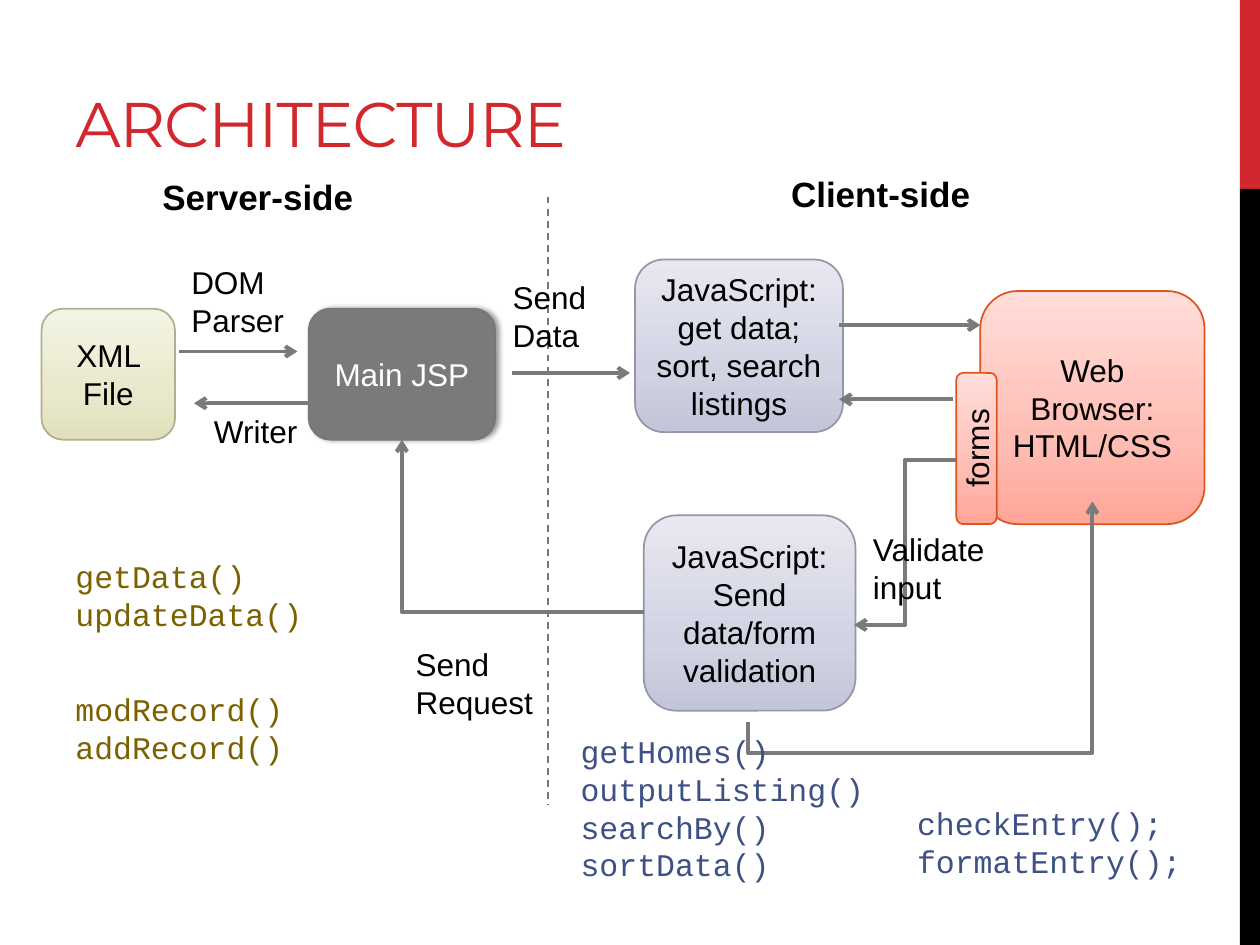
from lxml import etree
from copy import deepcopy
from pptx import Presentation
from pptx.dml.color import RGBColor
from pptx.enum.dml import MSO_LINE
from pptx.enum.shapes import MSO_CONNECTOR, MSO_SHAPE
from pptx.enum.text import MSO_ANCHOR, MSO_AUTO_SIZE, PP_ALIGN
from pptx.oxml.ns import qn
from pptx.util import Inches, Pt

RECT, ROUNDED = MSO_SHAPE.RECTANGLE, MSO_SHAPE.ROUNDED_RECTANGLE
STRAIGHT, ELBOW = MSO_CONNECTOR.STRAIGHT, MSO_CONNECTOR.ELBOW
DASH = MSO_LINE.DASH
TOP, MIDDLE, BOTTOM = MSO_ANCHOR.TOP, MSO_ANCHOR.MIDDLE, MSO_ANCHOR.BOTTOM
LEFT, CENTER = PP_ALIGN.LEFT, PP_ALIGN.CENTER
NO_AUTOFIT = MSO_AUTO_SIZE.NONE

COLUMNS, ROWS = 100, 75
CELL = Inches(0.1)
RED, BLACK, WHITE = "D1282E", "000000", "FFFFFF"
GRAY, DARK_GRAY = "7A7A7A", "777777"
BROWSER = (("FFA698", "FFBCB3", "FFDED9"), "DC551F")
SCRIPT = (("C3C5D9", "D1D3E3", "E8E8F1"), "9496A9")
XML_FILE = (("E1E0BC", "E9E8CB", "F4F4E5"), "B1B08E")
STOPS = (0, 0.35, 1)

LABEL = {"name": "Arial", "size": Pt(18)}
HEADING = {"name": "Arial", "size": Pt(20), "bold": True}
CODE = {"name": "Courier New", "size": Pt(18)}
TITLE = {"name": "Montserrat", "size": Pt(36), "bold": False}
HEADING_GAPS = {"space_before": Pt(4), "space_after": Pt(6)}


def grid(*cells):
    return [round(cell * CELL) for cell in cells]


def color(value):
    return RGBColor.from_string(value)


def apply(target, values):
    for key, value in values.items():
        setattr(target, key, value)


def write(frame, text, font, ink, align=LEFT, anchor=TOP, gaps=None):
    apply(frame, {"word_wrap": True, "auto_size": NO_AUTOFIT, "vertical_anchor": anchor})
    frame.text = text
    for paragraph in frame.paragraphs:
        apply(paragraph, {"alignment": align, **(gaps or {})})
        for run in paragraph.runs:
            apply(run.font, font)
            run.font.color.rgb = color(ink)


def add_title(slide, text):
    title = slide.shapes.title
    apply(title, dict(zip(("left", "top", "width", "height"), grid(5, -1.8, 63.3, 15))))
    write(title.text_frame, text, TITLE, RED, anchor=BOTTOM)
    for run in title.text_frame.paragraphs[0].runs:
        run.font._element.set("spc", "-60")


def add_text(slide, cells, text, font=LABEL, ink=BLACK, gaps=None):
    box = slide.shapes.add_textbox(*grid(*cells))
    write(box.text_frame, text, font, ink, gaps=gaps)


def add_block(slide, cells, fill, kind=RECT):
    block = slide.shapes.add_shape(kind, *grid(*cells))
    block.shadow.inherit = False
    block.fill.solid()
    block.fill.fore_color.rgb = color(fill)
    block.line.fill.background()
    return block


def shade(block, colors):
    block.fill.gradient()
    block.fill.gradient_angle = 90
    stop_list = block._element.spPr.find(".//" + qn("a:gsLst"))
    stop_list.insert(1, deepcopy(stop_list[0]))
    for stop, position, value in zip(block.fill.gradient_stops, STOPS, colors):
        stop.position = position
        stop.color.rgb = color(value)


def add_node(slide, cells, text, palette, turned=False):
    colors, outline = palette
    node = add_block(slide, cells, colors[0], ROUNDED)
    shade(node, colors)
    node.line.color.rgb = color(outline)
    node.line.width = Pt(1)
    write(node.text_frame, text, LABEL, BLACK, CENTER, MIDDLE)
    if turned:
        node.text_frame._txBody.bodyPr.set("vert", "vert270")


def add_main_jsp(slide, cells):
    node = add_block(slide, cells, GRAY, ROUNDED)
    node.line.color.rgb = color(DARK_GRAY)
    node.line.width = Pt(1)
    write(node.text_frame, "Main JSP", LABEL, WHITE, CENTER, MIDDLE)
    effects = node._element.spPr.find(qn("a:effectLst"))
    shadow = etree.SubElement(effects, qn("a:outerShdw"), blurRad=str(Pt(3.1)),
                              dist=str(Pt(1.8)), dir="0", rotWithShape="0")
    ink = etree.SubElement(shadow, qn("a:srgbClr"), val=BLACK)
    etree.SubElement(ink, qn("a:alpha"), val="40000")


def add_line(slide, start, end, kind=STRAIGHT, ink=GRAY, width=2.25):
    line = slide.shapes.add_connector(kind, *grid(*start, *end))
    line.line.color.rgb = color(ink)
    line.line.width = Pt(width)
    etree.SubElement(line._element.spPr, qn("a:effectLst"))
    return line


def add_arrow(slide, start, end, kind=STRAIGHT):
    arrow = add_line(slide, start, end, kind)
    etree.SubElement(arrow.line._get_or_add_ln(), qn("a:tailEnd"), type="arrow")
    return arrow


def add_corner_arrow(slide, start, end):
    arrow = add_arrow(slide, start, end, ELBOW)
    arrow._element.spPr.find(qn("a:prstGeom")).set("prst", "bentConnector2")


def add_upright_arrow(slide, start, end, bend):
    middle = [(a + b) / 2 for a, b in zip(start, end)]
    across, down = [a - m for a, m in zip(start, middle)]
    arrow = add_arrow(slide, (middle[0] + down, middle[1] - across),
                      (middle[0] - down, middle[1] + across), ELBOW)
    properties = arrow._element.spPr
    properties.find(qn("a:xfrm")).set("rot", "5400000")
    guides = properties.find(qn("a:prstGeom")).find(qn("a:avLst"))
    etree.SubElement(guides, qn("a:gd"), name="adj1", fmla=f"val {round(bend * 100000)}")


def main():
    deck = Presentation()
    deck.slide_width, deck.slide_height = grid(COLUMNS, ROWS)
    slide = deck.slides.add_slide(deck.slide_layouts[5])

    add_block(slide, (98.4, 0, 1.6, 15), RED)
    add_block(slide, (98.4, 15, 1.6, 60), BLACK)
    add_title(slide, "ARCHITECTURE")
    for cells, side in (((61.8, 13.2, 25, 7.2), "Client-side"),
                        ((11.9, 13.4, 25, 7.2), "Server-side")):
        add_text(slide, cells, side, HEADING, gaps=HEADING_GAPS)

    divider = add_line(slide, (43.5, 15.6), (43.5, 63.9), ink=DARK_GRAY, width=1)
    divider.line.dash_style = DASH

    for node in (
        ((77.8, 23.1, 17.8, 18.5), "Web Browser: HTML/CSS", BROWSER),
        ((50.4, 20.6, 16.5, 13.7), "JavaScript:\nget data; sort, search listings", SCRIPT),
        ((51.1, 40.9, 16.8, 15.5), "JavaScript:\nSend data/form validation", SCRIPT),
        ((75.9, 29.6, 3.2, 12), "forms", BROWSER, True),
        ((3.3, 24.5, 10.6, 10.4), "XML File", XML_FILE),
    ):
        add_node(slide, *node)
    add_main_jsp(slide, (24.5, 24.5, 14.8, 10.4))

    for start, end in (
        ((40.6, 29.6), (50, 29.6)),
        ((66.6, 25.8), (77.8, 25.8)),
        ((75.6, 31.7), (66.6, 31.7)),
        ((14.2, 27.9), (23.6, 27.9)),
        ((24.5, 32), (15.4, 32)),
    ):
        add_arrow(slide, start, end)
    add_corner_arrow(slide, (51.1, 48.6), (31.9, 34.9))
    add_arrow(slide, (75.9, 36.5), (67.8, 49.6), ELBOW)
    add_upright_arrow(slide, (59.4, 57.3), (86.7, 39.8), -0.142)

    for cells, label in (
        ((32, 50.7, 16.3, 7.1), "Send Request"),
        ((39.7, 21.6, 10.3, 7.1), "Send Data"),
        ((68.3, 41.6, 20.1, 7.1), "Validate\vinput"),
        ((14.2, 20.4, 10.3, 7.1), "DOM\nParser"),
        ((16, 32.2, 10.3, 4), "Writer"),
    ):
        add_text(slide, cells, label)

    server_ink, client_ink = "7B6100", "3D5185"
    for cells, calls, ink in (
        ((5, 43.7, 24.7, 7.1), "getData()\nupdateData()", server_ink),
        ((5, 54.3, 24.7, 7.1), "modRecord()\naddRecord()", server_ink),
        ((45.1, 57.6, 26.7, 13.1), "getHomes()\noutputListing()\nsearchBy()\nsortData()", client_ink),
        ((71.8, 63.3, 24.7, 7.1), "checkEntry();\nformatEntry();", client_ink),
    ):
        add_text(slide, cells, calls, CODE, ink)

    deck.save("out.pptx")


main()
